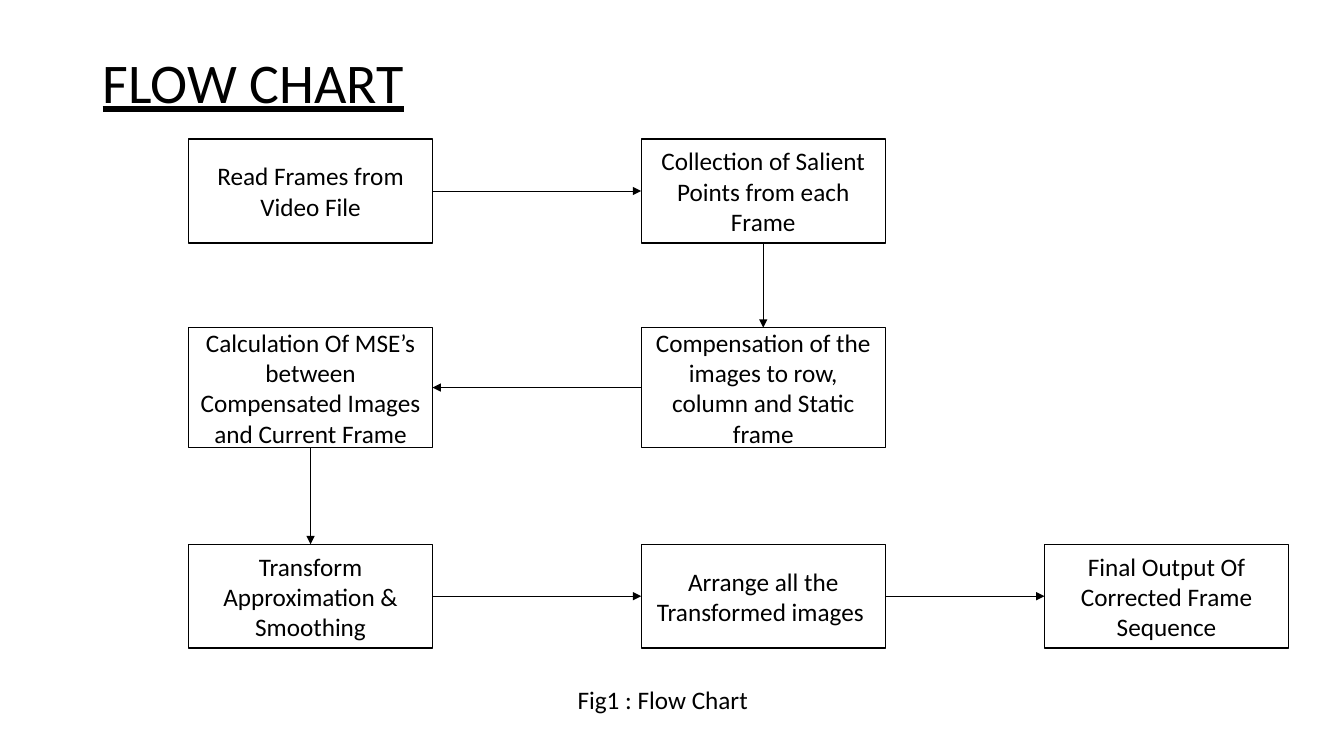
from lxml.etree import SubElement
from pptx import Presentation
from pptx.dml.color import RGBColor
from pptx.enum.shapes import MSO_CONNECTOR as Connector, MSO_SHAPE as Shape
from pptx.enum.text import MSO_ANCHOR as Anchor, PP_ALIGN as Align
from pptx.oxml.ns import qn
from pptx.util import Inches, Pt

COLORS = {"ink": "000000", "paper": "FFFFFF"}
FONT = "Calibri"
TOP, LEFT, BOTTOM, RIGHT = range(4)
STEP_WIDTH = 2.42
COLUMNS = [0, 4.49, 8.49]
ROWS = [(0, 1.03), (1.87, 1.19), (4.02, 1.03)]
STEPS = {
    "read": (0, 0, "Read Frames from Video File"),
    "collect": (1, 0, "Collection of Salient Points from each Frame"),
    "compensate": (1, 1, "Compensation of the images to row, column and Static frame"),
    "calculate": (0, 1, "Calculation Of MSE’s between Compensated Images and Current Frame"),
    "transform": (0, 2, "Transform Approximation & Smoothing"),
    "arrange": (1, 2, "Arrange all the Transformed images "),
    "output": (2, 2, "Final Output Of Corrected Frame Sequence"),
}
ARROWS = [
    ("read", RIGHT, "collect", LEFT),
    ("collect", BOTTOM, "compensate", TOP),
    ("compensate", LEFT, "calculate", RIGHT),
    ("calculate", BOTTOM, "transform", TOP),
    ("transform", RIGHT, "arrange", LEFT),
    ("arrange", RIGHT, "output", LEFT),
]


def color(name):
    """Return the named colour."""
    return RGBColor.from_string(COLORS[name])


def write_text(shape, text, size, anchor, align=Align.LEFT):
    """Write one wrapped paragraph into a shape and return it."""
    frame = shape.text_frame
    frame.word_wrap = True
    frame.vertical_anchor = anchor
    frame.text = text
    paragraph = frame.paragraphs[0]
    paragraph.alignment = align
    font = paragraph.runs[0].font
    font.name = FONT
    font.size = Pt(size)
    font.color.rgb = color("ink")
    return paragraph


def add_title(slide, left, top, width, height):
    """Add the underlined heading."""
    box = slide.shapes.add_textbox(*map(Inches, (left, top, width, height)))
    paragraph = write_text(box, "FLOW CHART", 40, Anchor.MIDDLE)
    paragraph.line_spacing = 0.9
    paragraph.runs[0].font.underline = True


def add_step(slide, left, top, width, height, text):
    """Add one outlined step and return its shape."""
    shape = slide.shapes.add_shape(Shape.RECTANGLE, *map(Inches, (left, top, width, height)))
    shape.shadow.inherit = False
    shape.fill.solid()
    shape.fill.fore_color.rgb = color("paper")
    shape.line.color.rgb = color("ink")
    shape.line.width = Pt(1)
    write_text(shape, text, 18, Anchor.MIDDLE, Align.CENTER)
    return shape


def add_arrow(slide, source, source_side, target, target_side):
    """Join two steps with an arrow."""
    arrow = slide.shapes.add_connector(Connector.STRAIGHT, 0, 0, 0, 0)
    arrow.begin_connect(source, source_side)
    arrow.end_connect(target, target_side)
    arrow.line.color.rgb = color("ink")
    arrow.line.width = Pt(0.5)
    SubElement(arrow.line._get_or_add_ln(), qn("a:tailEnd"), type="triangle")
    SubElement(arrow._element.spPr, qn("a:effectLst"))


def add_flow(slide, left, top):
    """Place the steps on their grid and join them."""
    shapes = {}
    for name, (column, row, text) in STEPS.items():
        offset, height = ROWS[row]
        shapes[name] = add_step(
            slide, left + COLUMNS[column], top + offset, STEP_WIDTH, height, text
        )
    for source, source_side, target, target_side in ARROWS:
        add_arrow(slide, shapes[source], source_side, shapes[target], target_side)


def add_caption(slide, left, top, width, height):
    """Add the figure caption."""
    box = slide.shapes.add_textbox(*map(Inches, (left, top, width, height)))
    write_text(box, "Fig1 : Flow Chart", 18, Anchor.TOP)


def main():
    """Build and save the presentation."""
    presentation = Presentation()
    presentation.slide_width = Inches(13.33)
    presentation.slide_height = Inches(7.5)
    slide = presentation.slides.add_slide(presentation.slide_layouts[6])
    add_title(slide, 0.92, 0.12, 11.5, 1.45)
    add_flow(slide, 1.87, 1.38)
    add_caption(slide, 5.63, 6.74, 2.08, 0.4)
    presentation.save("out.pptx")


if __name__ == "__main__":
    main()
